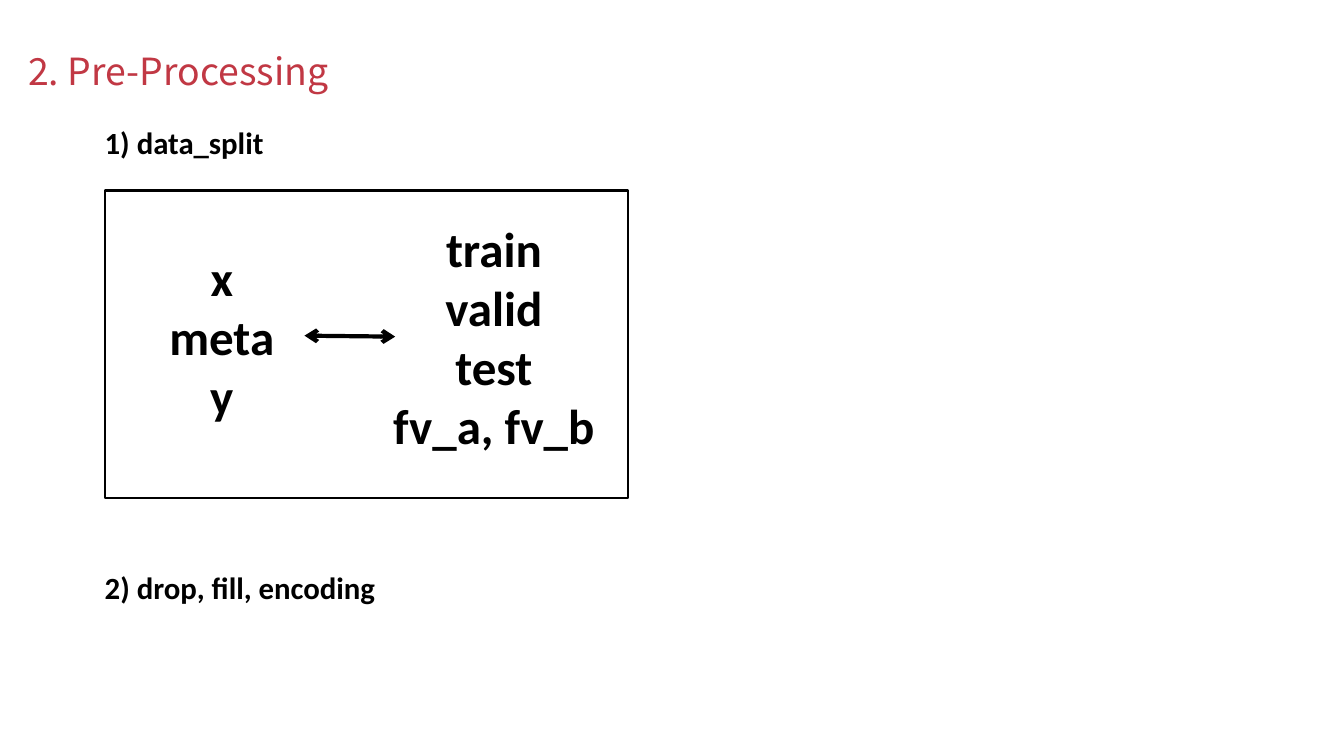
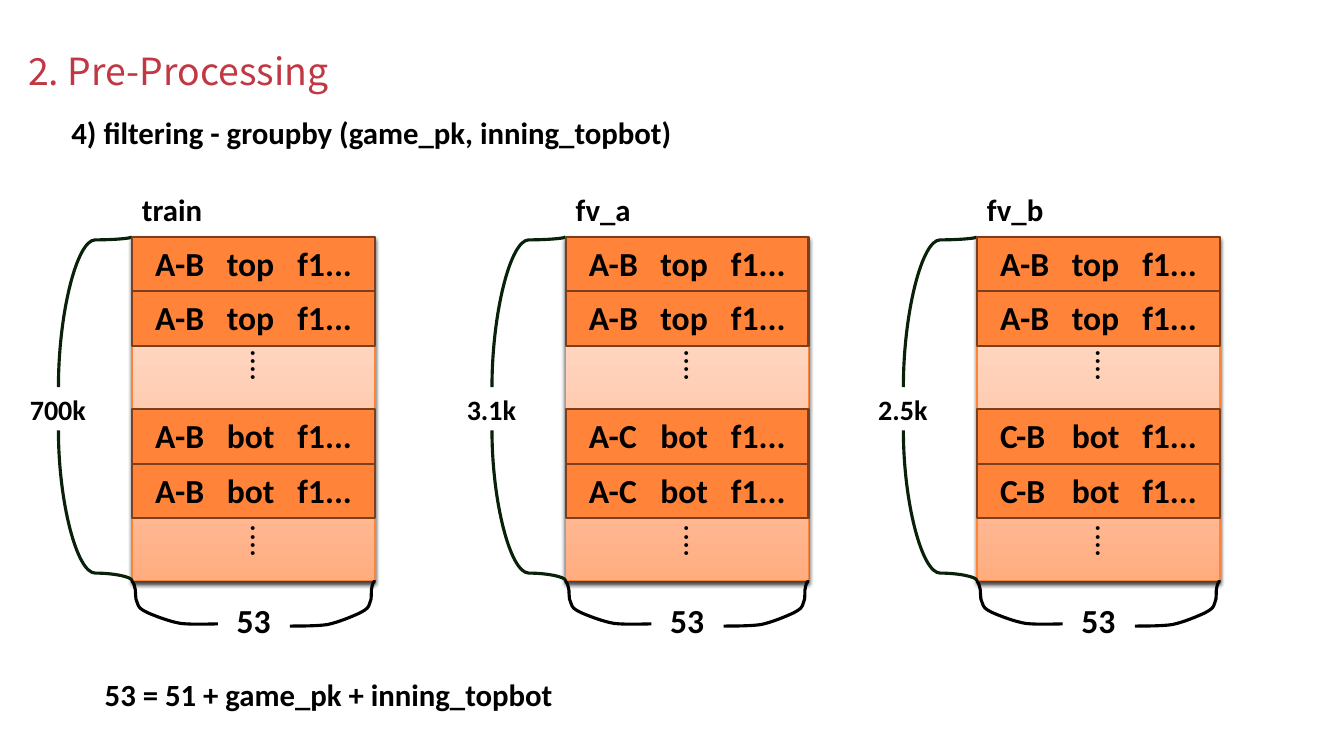
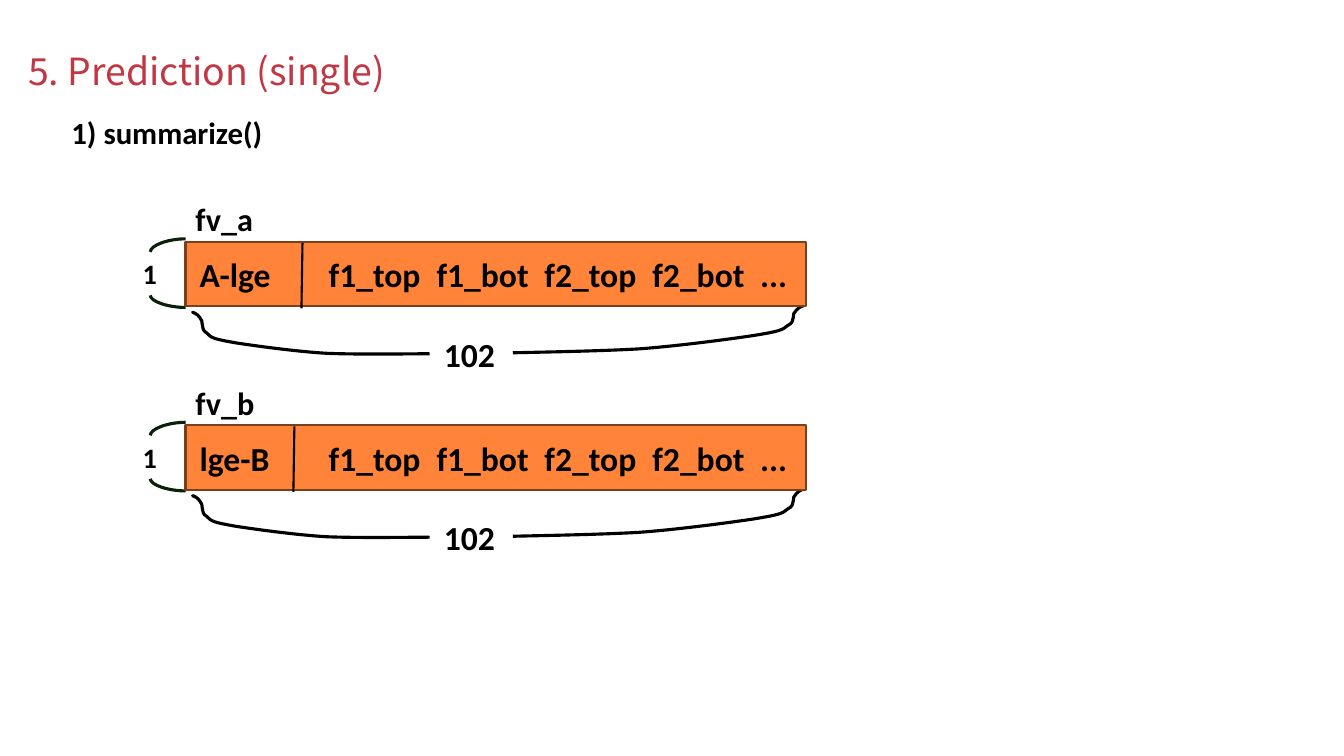
from lxml import etree
from pptx import Presentation
from pptx.dml.color import RGBColor
from pptx.enum.shapes import MSO_CONNECTOR, MSO_SHAPE
from pptx.enum.text import MSO_ANCHOR, MSO_AUTO_SIZE, PP_ALIGN
from pptx.oxml import parse_xml
from pptx.oxml.ns import nsdecls, qn
from pptx.util import Inches, Pt

LEFT, CENTER = PP_ALIGN.LEFT, PP_ALIGN.CENTER
TOP, MIDDLE = MSO_ANCHOR.TOP, MSO_ANCHOR.MIDDLE
RECT = MSO_SHAPE.RECTANGLE
STRAIGHT, CURVE = MSO_CONNECTOR.STRAIGHT, MSO_CONNECTOR.CURVE

BODY_FONT, TITLE_FONT = "Calibri", "Noto Sans CJK KR"
BLACK, WHITE, RED = "000000", "FFFFFF", "C13844"
ORANGE, BROWN, FRAME, BRACKET = "FF843A", "7A3F1C", "FF8335", "082108"
FADE = [(0, "FFAC7F"), (35, "FFC3A5"), (100, "FFE7D9")]
TITLE_ONLY = 5

# Half a brace from its inner end to its outer tip, as shares of its box:
# a start point, then three points for each cubic curve.
HALF_BRACE = [
    (1, 1),
    (0.93, 1), (0.71, 1.02), (0.57, 0.99),
    (0.44, 0.95), (0.26, 0.81), (0.18, 0.74),
    (0.09, 0.65), (0.08, 0.63), (0.06, 0.51),
    (0.03, 0.42), (0.05, 0.23), (0.03, 0.14),
    (0.02, 0.05), (0, 0.02), (0, 0.02),
    (0, 0), (0.01, 0.05), (0.01, 0.05),
]


def rgb(color):
    return RGBColor.from_string(color)


def inches(values):
    return [Inches(v) for v in values]


def set_text(tf, text, size=24, color=BLACK, font=BODY_FONT, bold=True,
             align=LEFT, spacing=None, tabs=()):
    """Fill a text frame, one paragraph a line; tabs are stops in inches."""
    tf.text = text
    for p in tf.paragraphs:
        p.alignment = align
        if spacing:
            p.line_spacing = spacing
        if tabs:
            stops = etree.SubElement(p._p.get_or_add_pPr(), qn("a:tabLst"))
            for stop in tabs:
                etree.SubElement(stops, qn("a:tab"), pos=str(Inches(stop)), algn="l")
        for r in p.runs:
            r.font.name, r.font.size, r.font.bold = font, Pt(size), bold
            r.font.color.rgb = rgb(color)


def set_insets(tf, left=0, top=0):
    tf.margin_left, tf.margin_top = Inches(left), Inches(top)
    tf.margin_right = tf.margin_bottom = 0


def add_text(slide, text, at, vertical=False, **fmt):
    tf = slide.shapes.add_textbox(*inches(at)).text_frame
    tf.word_wrap = True
    if vertical:
        tf._txBody.bodyPr.set("vert", "eaVert")
    set_text(tf, text, **fmt)


def add_rect(slide, at, fill, line, width=1.5):
    sp = slide.shapes.add_shape(RECT, *inches(at))
    sp.shadow.inherit = False
    sp.fill.solid()
    sp.fill.fore_color.rgb = rgb(fill)
    sp.line.color.rgb = rgb(line)
    sp.line.width = Pt(width)
    return sp


def add_bar(slide, at, text, inset, top, anchor, tabs):
    tf = add_rect(slide, at, ORANGE, BROWN).text_frame
    set_insets(tf, inset, top)
    tf.word_wrap = False
    tf.vertical_anchor = anchor
    set_text(tf, text, tabs=tabs)


def add_faded_panel(slide, at):
    """Rectangle with an upward gradient and a soft shadow."""
    sp = add_rect(slide, at, ORANGE, FRAME, 1)
    stops = "".join(f'<a:gs pos="{pos * 1000}"><a:srgbClr val="{color}"/></a:gs>'
                    for pos, color in FADE)
    gradient = parse_xml(f'<a:gradFill {nsdecls("a")} rotWithShape="1"><a:gsLst>{stops}'
                         '</a:gsLst><a:lin ang="16200000" scaled="0"/></a:gradFill>')
    spPr = sp._element.spPr
    spPr.replace(spPr.find(qn("a:solidFill")), gradient)
    spPr.find(qn("a:effectLst")).append(parse_xml(
        f'<a:outerShdw {nsdecls("a")} blurRad="{Pt(3)}" dist="{Pt(2)}" dir="5400000" '
        f'rotWithShape="0"><a:srgbClr val="{BLACK}"><a:alpha val="75000"/></a:srgbClr>'
        '</a:outerShdw>'))


def add_line(slide, start, end, kind=STRAIGHT, color=BLACK, width=1.5, arrows=False):
    c = slide.shapes.add_connector(kind, *inches(start + end))
    c.line.color.rgb = rgb(color)
    c.line.width = Pt(width)
    if arrows:
        ln = c.line._get_or_add_ln()
        for tag in ("a:headEnd", "a:tailEnd"):
            etree.SubElement(ln, qn(tag), type="arrow")
    etree.SubElement(c._element.spPr, qn("a:effectLst"))
    return c


def add_bracket(slide, start, end, bend=None):
    """Curve that leaves start vertically; bend is the share where it turns."""
    (x0, y0), (x1, y1) = start, end
    cx, cy = (x0 + x1) / 2, (y0 + y1) / 2
    up = y1 < y0
    half_w, half_h = abs(y1 - y0) / 2, (x1 - x0) / 2 * (1 if up else -1)
    c = add_line(slide, (cx + half_w, cy + half_h), (cx - half_w, cy - half_h),
                 CURVE, BRACKET, 2.25)
    spPr = c._element.spPr
    spPr.find(qn("a:xfrm")).set("rot", str((90 if up else 270) * 60000))
    geom = spPr.find(qn("a:prstGeom"))
    geom.set("prst", "curvedConnector3" if bend else "curvedConnector2")
    if bend:
        etree.SubElement(geom.find(qn("a:avLst")), qn("a:gd"),
                         name="adj1", fmla=f"val {round(bend * 100000)}")


def add_half_brace(slide, at, mirrored=False):
    left, top, width, height = at
    points = [(Inches(left + (1 - u if mirrored else u) * width), Inches(top + v * height))
              for u, v in HALF_BRACE]
    builder = slide.shapes.build_freeform(*points[0])
    builder.add_line_segments(points[1:], close=False)
    sp = builder.convert_to_shape()
    segments = list(sp._element.iter(qn("a:lnTo")))
    for i in range(0, len(segments), 3):
        curve = etree.Element(qn("a:cubicBezTo"))
        segments[i].addprevious(curve)
        for segment in segments[i:i + 3]:
            curve.append(segment[0])
            segment.getparent().remove(segment)
    sp.shadow.inherit = False
    sp.fill.background()
    sp.line.color.rgb = rgb(BLACK)
    sp.line.width = Pt(2.25)
    if mirrored:
        sp.rotation = 358.4


def add_slide(prs, title, heading, heading_at):
    slide = prs.slides.add_slide(prs.slide_layouts[TITLE_ONLY])
    sp = slide.shapes.title
    sp.left, sp.top, sp.width, sp.height = inches((0.28, 0.25, 5.29, 0.83))
    tf = sp.text_frame
    set_insets(tf)
    tf.auto_size = MSO_AUTO_SIZE.NONE
    tf.vertical_anchor = MIDDLE
    set_text(tf, title, size=26.7, color=RED, font=TITLE_FONT, bold=False, spacing=1.16)
    add_text(slide, heading, heading_at, size=22)
    return slide


def add_row_table(slide, left, name, count, teams):
    """Tall table of game rows with its row and column counts."""
    top, width, height, row_h = 2.35, 2.41, 3.41, 0.54
    bottom = top + height
    add_faded_panel(slide, (left, top, width, height))
    add_text(slide, count, (left - 1.2, 3.84, 0.93, 0.43), size=20, align=CENTER)
    add_text(slide, "53", (left + 0.49, 5.9, 1.43, 0.49), align=CENTER)
    add_bracket(slide, (left - 0.73, 3.84), (left, top), 0.98)
    add_bracket(slide, (left - 0.73, 4.27), (left, bottom), 0.95)
    for first, pair, half in ((top, "A-B", "top"), (4.06, teams, "bot")):
        for i in range(2):
            add_bar(slide, (left, first + i * row_h, width, row_h),
                    f"{pair}\t{half}\tf1...", 0.23, 0.06, TOP, (0.71, 1.41))
    for dots_top in (3.37, 5.11):
        add_text(slide, "....", (left + 0.95, dots_top, 0.6, 0.76), vertical=True,
                 size=23, bold=False, align=CENTER)
    add_text(slide, name, (left, 1.84, 1.21, 0.46), size=22)
    add_half_brace(slide, (left + 1.56, bottom + 0.01, 0.85, 0.43), mirrored=True)
    add_half_brace(slide, (left, bottom, 0.85, 0.43))


def add_summary_row(slide, top, name, team, divider):
    """Single summary row with its row and column counts."""
    left, width, height = 1.84, 6.15, 0.64
    add_text(slide, "1", (1.02, top + 0.1, 0.93, 0.43), size=20, align=CENTER)
    add_text(slide, "102", (3.94, top + 0.86, 1.43, 0.49), align=CENTER)
    add_bracket(slide, (left - 0.35, top + 0.1), (left, top - 0.03))
    add_bracket(slide, (left - 0.35, top + 0.53), (left, top + 0.65))
    add_half_brace(slide, (5.08, top + 0.66, 2.91, 0.4), mirrored=True)
    add_half_brace(slide, (1.91, top + 0.69, 2.35, 0.42))
    cells = [team, "f1_top", "f1_bot", "f2_top", "f2_bot", "..."]
    add_bar(slide, (left, top, width, height), "\t".join(cells), 0.14, 0, MIDDLE,
            [1.28 + 1.07 * i for i in range(5)])
    add_line(slide, (divider, top + 0.01), (divider - 0.01, top + 0.66))
    add_text(slide, name, (left, top - 0.47, 1.59, 0.48), size=23)


def build_split(prs):
    slide = add_slide(prs, "2. Pre-Processing", "1) data_split", (0.94, 1.18, 2.43, 0.46))
    add_rect(slide, (1.04, 1.89, 5.19, 3.05), WHITE, BLACK)
    add_text(slide, "x\nmeta\ny", (1.48, 2.41, 1.44, 1.84), size=35, align=CENTER)
    add_text(slide, "train\nvalid\ntest\nfv_a, fv_b", (3.77, 2.12, 2.26, 2.43),
             size=35, align=CENTER)
    add_line(slide, (3.02, 3.33), (3.92, 3.34), width=3, arrows=True)
    add_text(slide, "2) drop, fill, encoding", (0.94, 5.59, 2.98, 0.46), size=22)


def build_filtering(prs):
    slide = add_slide(prs, "2. Pre-Processing",
                      "4) filtering - groupby (game_pk, inning_topbot)",
                      (0.61, 1.08, 7.18, 0.46))
    for table in ((1.31, "train", "700k", "A-B"),
                  (5.61, "fv_a", "3.1k", "A-C"),
                  (9.69, "fv_b", "2.5k", "C-B")):
        add_row_table(slide, *table)
    add_text(slide, "53 = 51 + game_pk + inning_topbot", (0.94, 6.65, 7.18, 0.46), size=22)


def build_prediction(prs):
    slide = add_slide(prs, "5. Prediction (single)", "1) summarize()",
                      (0.61, 1.08, 7.18, 0.46))
    add_summary_row(slide, 2.4, "fv_a", "A-lge", 3)
    add_summary_row(slide, 4.22, "fv_b", "lge-B", 2.92)


def main():
    prs = Presentation()
    prs.slide_width, prs.slide_height = Inches(13.33), Inches(7.5)
    build_split(prs)
    build_filtering(prs)
    build_prediction(prs)
    prs.save("out.pptx")


if __name__ == "__main__":
    main()
